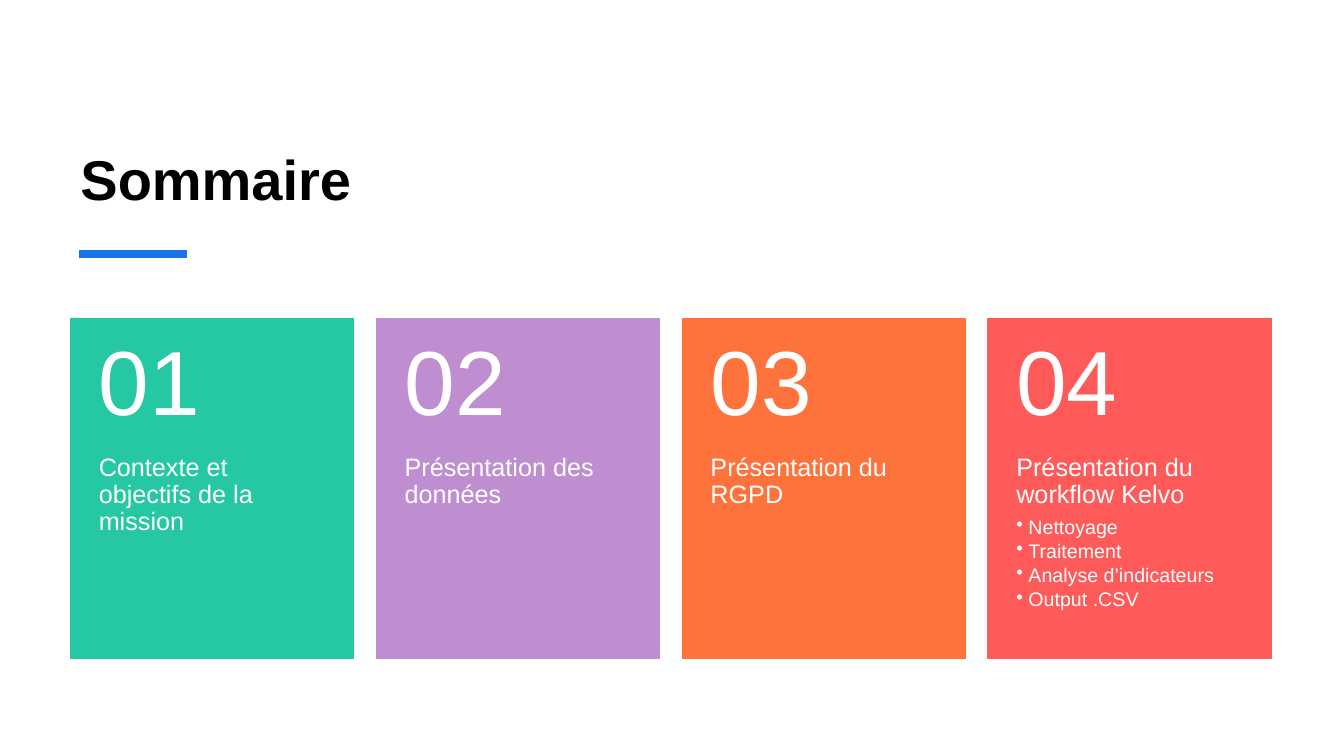
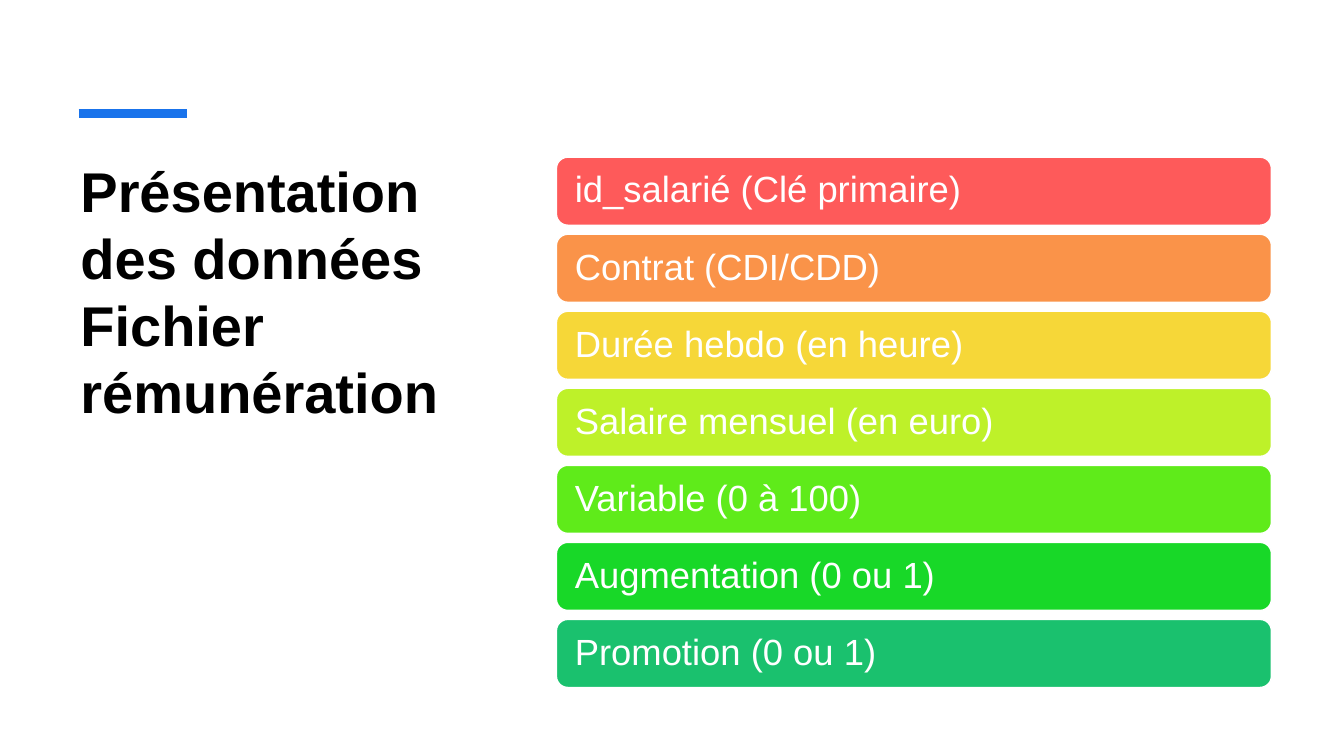
from pptx import Presentation
from pptx.dml.color import RGBColor
from pptx.enum.shapes import MSO_CONNECTOR, MSO_SHAPE
from pptx.enum.text import MSO_ANCHOR, PP_ALIGN
from pptx.oxml.ns import qn
from pptx.util import Inches, Pt
from lxml import etree

TOP, MID, LOW = MSO_ANCHOR.TOP, MSO_ANCHOR.MIDDLE, MSO_ANCHOR.BOTTOM
RECT, ROUND = MSO_SHAPE.RECTANGLE, MSO_SHAPE.ROUNDED_RECTANGLE
LEFT_ALIGN, STRAIGHT = PP_ALIGN.LEFT, MSO_CONNECTOR.STRAIGHT

# Shared look
FONT, INK, BLUE, WHITE, RED = "Arial", "000000", "1973EB", "FFFFFF", "FE5A5A"
WIDE, HIGH = 13.33, 7.5
LEFT, SPAN = 0.0525 * WIDE, 0.8935 * WIDE
INSET = (0.1, 0.05, 0.1, 0.05)


def hue(code):
    return RGBColor.from_string(code)


def text(slide, box, lines, kind=None, fill=None, edge=None, size=18, color=WHITE,
         bold=False, space=1, after=0.35, anchor=TOP, inset=INSET, bullets=()):
    """Place text in a box, or in a filled shape when a kind is given."""
    spot = [Inches(v) for v in box]
    if kind is None:
        shape = slide.shapes.add_textbox(*spot)
    else:
        shape = slide.shapes.add_shape(kind, *spot)
        shape.shadow.inherit = False
        shape.fill.solid()
        shape.fill.fore_color.rgb = hue(fill)
        shape.line.color.rgb = hue(edge or fill)
        shape.line.width = Pt(1)
    frame = shape.text_frame
    frame.word_wrap = True
    frame.vertical_anchor = anchor
    (frame.margin_left, frame.margin_top,
     frame.margin_right, frame.margin_bottom) = [Inches(v) for v in inset]
    rows = [(line, size, after, False) for line in lines]
    rows += [(line, 14, 0.15, True) for line in bullets]
    for i, (line, points, gap, dot) in enumerate(rows):
        para = frame.add_paragraph() if i else frame.paragraphs[0]
        para.alignment = LEFT_ALIGN
        para.line_spacing = space
        para.space_after = Pt(round(points * gap, 1))
        run = para.add_run()
        run.text = line
        run.font.name, run.font.size, run.font.bold = FONT, Pt(points), bold
        run.font.color.rgb = hue(color)
        if dot:
            props = para._p.get_or_add_pPr()
            props.set("marL", str(Inches(0.12)))
            props.set("indent", str(-Inches(0.12)))
            etree.SubElement(props, qn("a:buChar")).set("char", "•")


deck = Presentation()
deck.slide_width, deck.slide_height = Inches(WIDE), Inches(HIGH)

# Title and accent line of each slide: words, top, width, height, anchor, line level
heads = [
    ("Sommaire", 0.083 * HIGH, SPAN, 0.203 * HIGH, LOW, 0.336 * HIGH),
    ("Présentation des données Fichier rémunération",
     0.2 * HIGH, 0.3015 * WIDE, 0.572 * HIGH, TOP, 0.15 * HIGH),
]
pages = []
for words, top, wide, high, anchor, level in heads:
    page = deck.slides.add_slide(deck.slide_layouts[6])
    text(page, (LEFT, top, wide, high), [words],
         size=40, color=INK, bold=True, after=0, anchor=anchor)
    start, end = 0.0585 * WIDE, 0.1388 * WIDE
    bar = page.shapes.add_connector(STRAIGHT, Inches(start), Inches(level),
                                    Inches(end), Inches(level))
    bar.line.color.rgb = hue(BLUE)
    bar.line.width = Pt(6)
    etree.SubElement(bar._element.spPr, qn("a:effectLst"))
    pages.append(page)
agenda, fields = pages

# Agenda: four equal cards, the number in the upper 40 %
cards = [
    ("25C8A2", "Contexte et objectifs de la mission", ()),
    ("BF8ED1", "Présentation des données", ()),
    ("FE733C", "Présentation du RGPD", ()),
    (RED, "Présentation du workflow Kelvo",
     ("Nettoyage", "Traitement", "Analyse d’indicateurs", "Output .CSV")),
]
gap = 0.0168 * WIDE
wide = (SPAN - gap * (len(cards) - 1)) / len(cards)
top, high = 0.421 * HIGH, 0.45 * HIGH
upper = 0.4 * high
for i, (fill, label, items) in enumerate(cards):
    x = LEFT + i * (wide + gap)
    text(agenda, (x, top, wide, high), [], kind=RECT, fill=fill)
    text(agenda, (x, top + upper, wide, high - upper), [label], space=0.9,
         inset=(0.28, 0, 0.28, 0.36), bullets=items)
    text(agenda, (x, top, wide, upper), [f"{i + 1:02}"], size=65, space=0.9,
         anchor=MID, inset=(0.28, 0.18, 0.28, 0.18))

# Fields: one rounded bar per column of the file
bars = [
    (RED, "id_salarié (Clé primaire)"),
    ("FA9349", "Contrat (CDI/CDD)"),
    ("F6D738", "Durée hebdo (en heure)"),
    ("BEF129", "Salaire mensuel (en euro)"),
    ("5FEB1A", "Variable (0 à 100)"),
    ("18D828", "Augmentation (0 ou 1)"),
    ("1AC16E", "Promotion (0 ou 1)"),
]
x, top = 0.414 * WIDE, 0.208 * HIGH
step, high = 0.1019 * HIGH, 0.09 * HIGH
for i, (fill, label) in enumerate(bars):
    text(fields, (x, top + i * step, LEFT + SPAN - x, high), [label],
         kind=ROUND, fill=fill, edge=WHITE, size=26, space=0.9, anchor=MID,
         inset=(0.15, 0.11, 0.15, 0.11))

deck.save("out.pptx")
